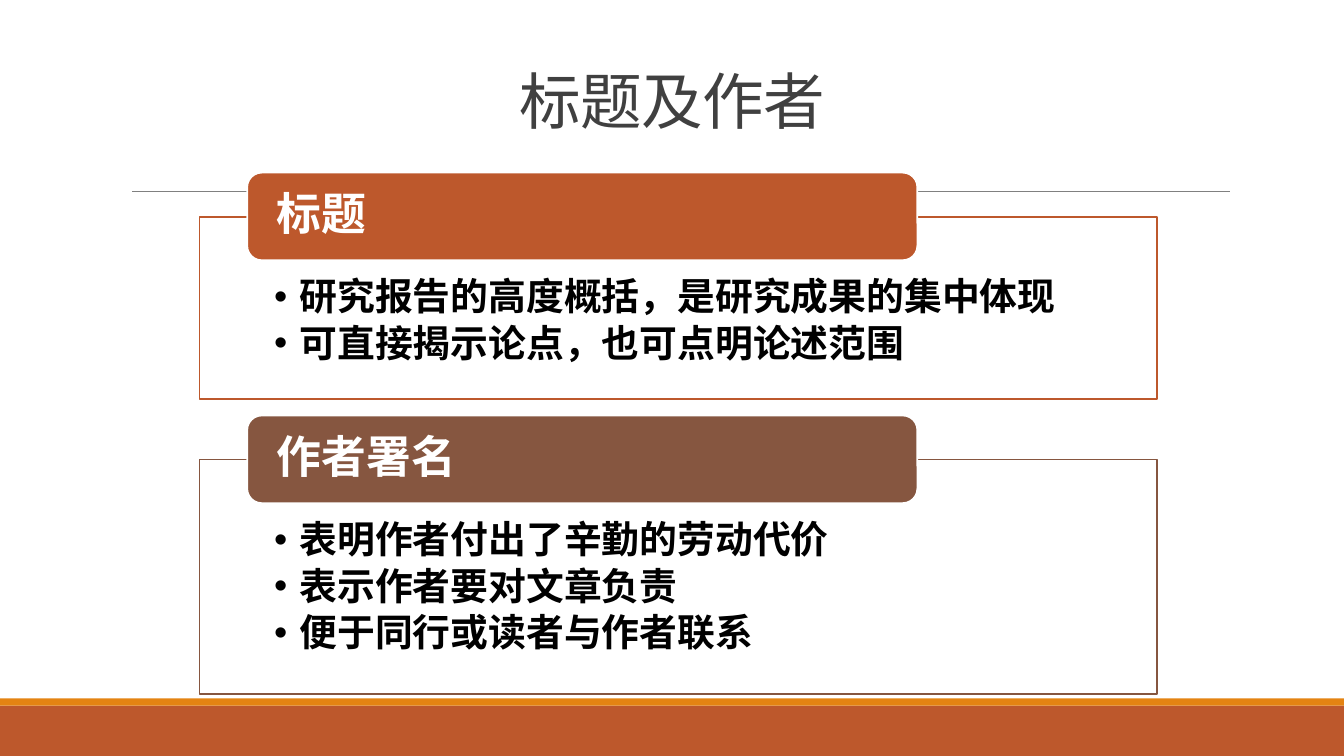
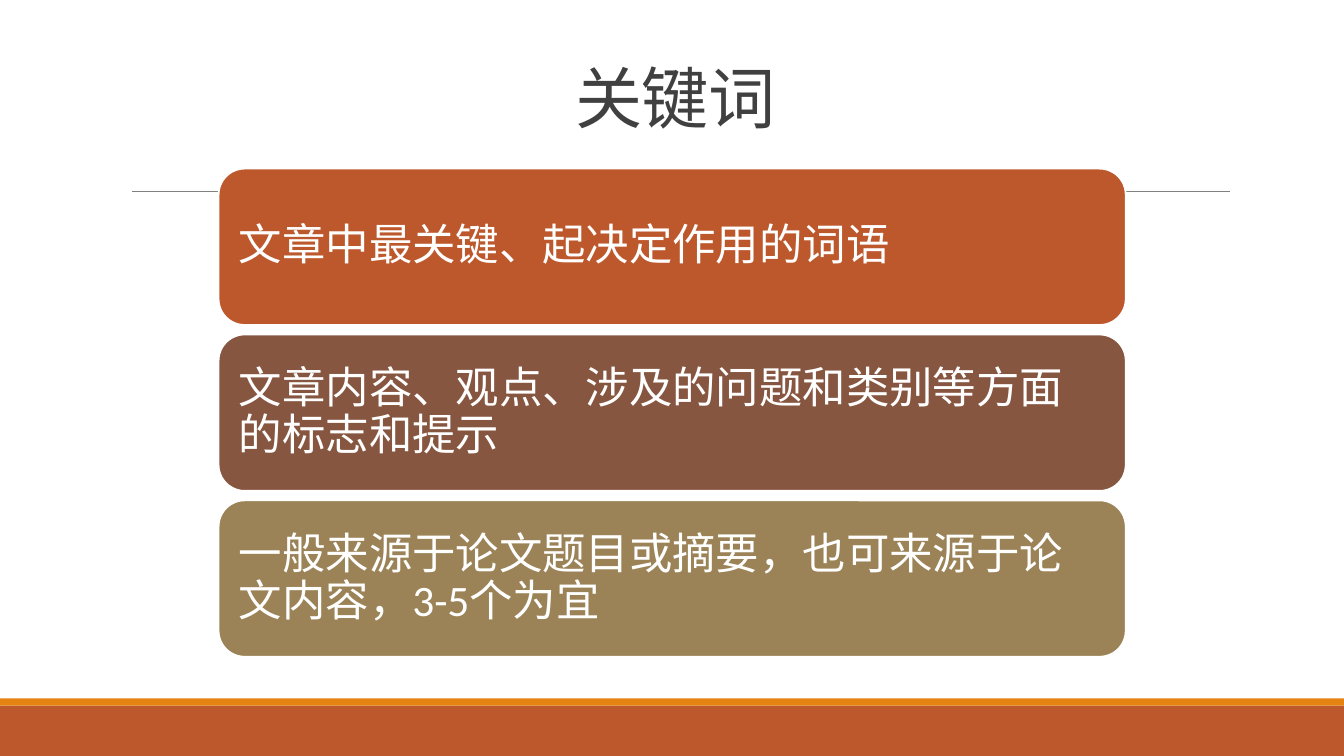
import lxml.etree
import pptx
import pptx.dml.color
import pptx.enum.lang
import pptx.enum.shapes
import pptx.enum.text
import pptx.oxml.ns
import pptx.util

Cm = pptx.util.Cm
Pt = pptx.util.Pt
qn = pptx.oxml.ns.qn
ALIGN = pptx.enum.text.PP_ALIGN
ANCHOR = pptx.enum.text.MSO_ANCHOR
SHAPE = pptx.enum.shapes.MSO_SHAPE

# Shared look
WHITE, BLACK, INK, GREY = "FFFFFF", "000000", "404040", "808080"
RUST, BROWN, OLIVE, AMBER = "BD582C", "865640", "9B8357", "E48312"
WIDE, HIGH = 33.87, 19.05


def tint(code):
    return pptx.dml.color.RGBColor.from_string(code)


def bullet(par, hang=0.64):
    """Give a paragraph a round bullet and a hanging indent."""
    props = par._p.get_or_add_pPr()
    props.set("marL", str(Cm(hang)))
    props.set("indent", str(-Cm(hang)))
    lxml.etree.SubElement(props, qn("a:buFont")).set("typeface", "Arial")
    lxml.etree.SubElement(props, qn("a:buChar")).set("char", "•")


def write(shape, lines, size, color, font="Calibri", bold=False, align=ALIGN.LEFT,
          anchor=ANCHOR.MIDDLE, inset=(0.25, 0.13, 0.25, 0.13), leading=0.9,
          after=0, track=0, listed=False):
    """Fill a shape with paragraphs; after is a share of the font size."""
    frame = shape.text_frame
    frame.word_wrap = True
    frame.auto_size = pptx.enum.text.MSO_AUTO_SIZE.NONE
    frame.vertical_anchor = anchor
    (frame.margin_left, frame.margin_top,
     frame.margin_right, frame.margin_bottom) = map(Cm, inset)
    for i, line in enumerate(lines):
        par = frame.add_paragraph() if i else frame.paragraphs[0]
        if listed:
            bullet(par)
        par.alignment = align
        par.line_spacing = leading
        par.space_before = Pt(0)
        par.space_after = Pt(round(size * after))
        run = par.add_run()
        run.text = line
        run.font.name = font
        run.font.size = Pt(size)
        run.font.bold = bold
        run.font.color.rgb = tint(color)
        run.font.language_id = pptx.enum.lang.MSO_LANGUAGE_ID.SIMPLIFIED_CHINESE
        if track:
            run._r.get_or_add_rPr().set("spc", str(round(track * 100)))


def place(shape, left, top, width, height):
    shape.left, shape.top = Cm(left), Cm(top)
    shape.width, shape.height = Cm(width), Cm(height)


class Deck:
    def __init__(self):
        self.file = pptx.Presentation()
        self.file.slide_width, self.file.slide_height = Cm(WIDE), Cm(HIGH)
        self.slide = None

    def start(self, layout):
        """Open a slide with its footer bands and header rule."""
        self.slide = self.file.slides.add_slide(self.file.slide_layouts[layout])
        self.block(0, 17.78, WIDE, 1.27, RUST)
        self.block(0, 17.6, WIDE, 0.18, AMBER)
        self.rule(3.33, 31, 4.83)

    def block(self, left, top, width, height, fill, kind=SHAPE.RECTANGLE, edge=None):
        box = self.slide.shapes.add_shape(
            kind, Cm(left), Cm(top), Cm(width), Cm(height))
        box.shadow.inherit = False
        self.paint(box, fill, edge)
        return box

    def paint(self, box, fill, edge):
        box.fill.solid()
        box.fill.fore_color.rgb = tint(fill)
        if edge:
            box.line.color.rgb = tint(edge)
            box.line.width = Pt(1.25)
        else:
            box.line.fill.background()

    def rule(self, left, right, top):
        line = self.slide.shapes.add_connector(
            pptx.enum.shapes.MSO_CONNECTOR.STRAIGHT,
            Cm(left), Cm(top), Cm(right), Cm(top))
        line.line.color.rgb = tint(GREY)
        line.line.width = Pt(0.5)
        lxml.etree.SubElement(line._element.spPr, qn("a:effectLst"))

    def title(self, text, size, left, width):
        """Set the heading clear of the content below it."""
        head = self.slide.shapes.title
        place(head, left, 0.41, width, 3.17)
        write(head, [text], size, INK, font="Times New Roman", align=ALIGN.CENTER,
              anchor=ANCHOR.BOTTOM, leading=0.85, track=-0.5)

    def card(self, text, color, size, *area, **style):
        box = self.block(*area, color, SHAPE.ROUNDED_RECTANGLE, WHITE)
        write(box, [text], size, WHITE, after=0.35, **style)

    def panel(self, slot, label, lines, color, top, height):
        """Framed list with a label card on its top edge."""
        body = self.slide.placeholders[slot]
        place(body, 5.03, top, 24.13, height)
        self.paint(body, WHITE, color)
        write(body, lines, 27, BLACK, bold=True, anchor=ANCHOR.TOP,
              inset=(1.88, 1.55, 1.88, 0.53), after=0.15, listed=True)
        self.card(label, color, 32, 6.23, top - 1.11, 16.89, 2.21,
                  bold=True, inset=(0.64, 0, 0.64, 0))


def main():
    deck = Deck()

    # Title and authors
    deck.start(3)
    deck.title("标题及作者", 44, 5.51, 22.86)
    top, gap = 5.46, 1.52
    panels = [
        ("标题", RUST, 4.6, ["研究报告的高度概括，是研究成果的集中体现",
                           "可直接揭示论点，也可点明论述范围"]),
        ("作者署名", BROWN, 5.9, ["表明作者付出了辛勤的劳动代价",
                              "表示作者要对文章负责",
                              "便于同行或读者与作者联系"]),
    ]
    for slot, (label, color, height, lines) in enumerate(panels, 1):
        deck.panel(slot, label, lines, color, top, height)
        top += height + gap

    # Keywords
    deck.start(5)
    deck.title("关键词", 48, 3.05, 27.94)
    cards = [
        ("文章中最关键、起决定作用的词语", RUST),
        ("文章内容、观点、涉及的问题和类别等方面的标志和提示", BROWN),
        ("一般来源于论文题目或摘要，也可来源于论文内容，3-5个为宜", OLIVE),
    ]
    for row, (text, color) in enumerate(cards):
        deck.card(text, color, 31, 5.51, 4.25 + row * 4.18, 22.86, 3.94,
                  inset=(0.32,) * 4)

    deck.file.save("out.pptx")


if __name__ == "__main__":
    main()
